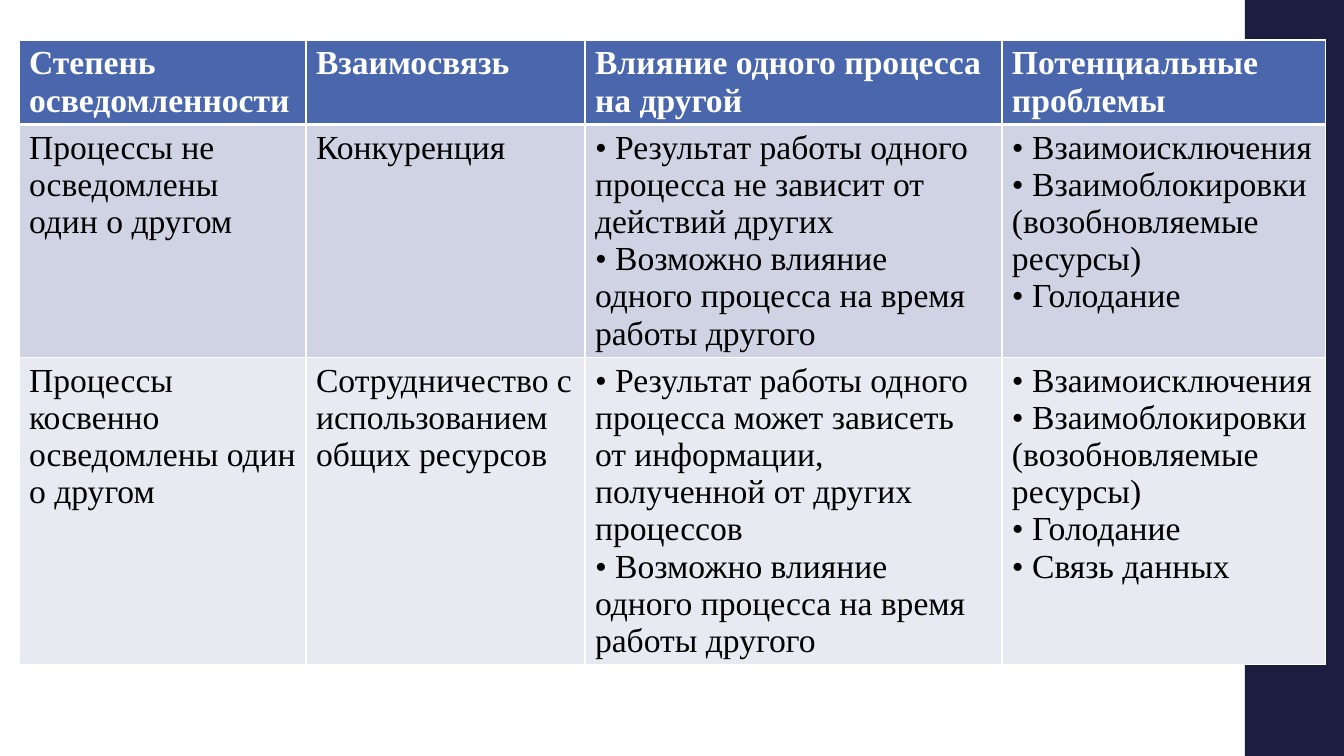
from lxml import etree
from pptx import Presentation, util as u
from pptx.dml.color import RGBColor
from pptx.enum import shapes
from pptx.oxml.ns import qn

FONT = "Times New Roman"
HUES = {"band": "1B1E3E", "head": "4A66AC", "odd": "D0D3E3", "even": "E9EAF1",
        "white": "FFFFFF", "black": "000000"}

# Each cell is a list of paragraphs.
ROWS = [
    [["Степень осведомленности"], ["Взаимосвязь"],
     ["Влияние одного процесса на другой"], ["Потенциальные проблемы"]],
    [["Процессы не осведомлены", "один о другом"],
     ["Конкуренция"],
     ["• Результат работы одного процесса не зависит от действий других",
      "• Возможно влияние одного процесса на время работы другого"],
     ["• Взаимоисключения", "• Взаимоблокировки", "(возобновляемые", "ресурсы)",
      "• Голодание"]],
    [["Процессы косвенно", "осведомлены один о другом"],
     ["Сотрудничество с использованием общих ресурсов"],
     ["• Результат работы одного", "процесса может зависеть",
      "от информации, полученной от других процессов",
      "• Возможно влияние одного процесса на время", "работы другого"],
     ["• Взаимоисключения", "• Взаимоблокировки", "(возобновляемые", "ресурсы)",
      "• Голодание", "• Связь данных"]],
]
WIDE, HIGH = 1344, 756
LEFT, TOP = 19, 40
COLS = [287, 279, 417, 324]
TALL = [84, 233, 307]
BAND = 1245


def px(n):
    return u.Emu(round(n * 914400 / 100.8))


def rgb(name):
    return RGBColor.from_string(HUES[name])


def write(frame, lines, size=24, color="black", bold=False):
    for i, line in enumerate(lines):
        para = frame.paragraphs[0] if i == 0 else frame.add_paragraph()
        run = para.add_run()
        run.text = line
        font = run.font
        font.name, font.size, font.bold = FONT, u.Pt(size), bold
        font.color.rgb = rgb(color)


def edge(cell, **widths):
    """Draw white cell borders; widths are points keyed by side."""
    props = cell._tc.get_or_add_tcPr()
    for side, width in widths.items():
        line = etree.SubElement(props, qn("a:ln" + side), w=str(u.Pt(width)))
        fill = etree.SubElement(line, qn("a:solidFill"))
        etree.SubElement(fill, qn("a:srgbClr"), val=HUES["white"])


def main():
    deck = Presentation()
    deck.slide_width, deck.slide_height = px(WIDE), px(HIGH)
    slide = deck.slides.add_slide(deck.slide_layouts[6])

    band = slide.shapes.add_shape(shapes.MSO_SHAPE.RECTANGLE, px(BAND), 0,
                                  px(WIDE - BAND), px(HIGH))
    band.shadow.inherit = False
    band.fill.solid()
    band.fill.fore_color.rgb = rgb("band")
    band.line.fill.background()

    table = slide.shapes.add_table(len(ROWS), len(COLS), px(LEFT), px(TOP),
                                   px(sum(COLS)), px(sum(TALL))).table
    for col, width in zip(table.columns, COLS):
        col.width = px(width)
    for r, (row, fill) in enumerate(zip(ROWS, ("head", "odd", "even"))):
        table.rows[r].height = px(TALL[r])
        head = r == 0
        for c, lines in enumerate(row):
            cell = table.cell(r, c)
            edge(cell, L=1, R=1, T=3 if r == 1 else 1, B=3 if head else 1)
            cell.fill.solid()
            cell.fill.fore_color.rgb = rgb(fill)
            write(cell.text_frame, lines, color="white" if head else "black", bold=head)

    deck.save("out.pptx")


if __name__ == "__main__":
    main()
